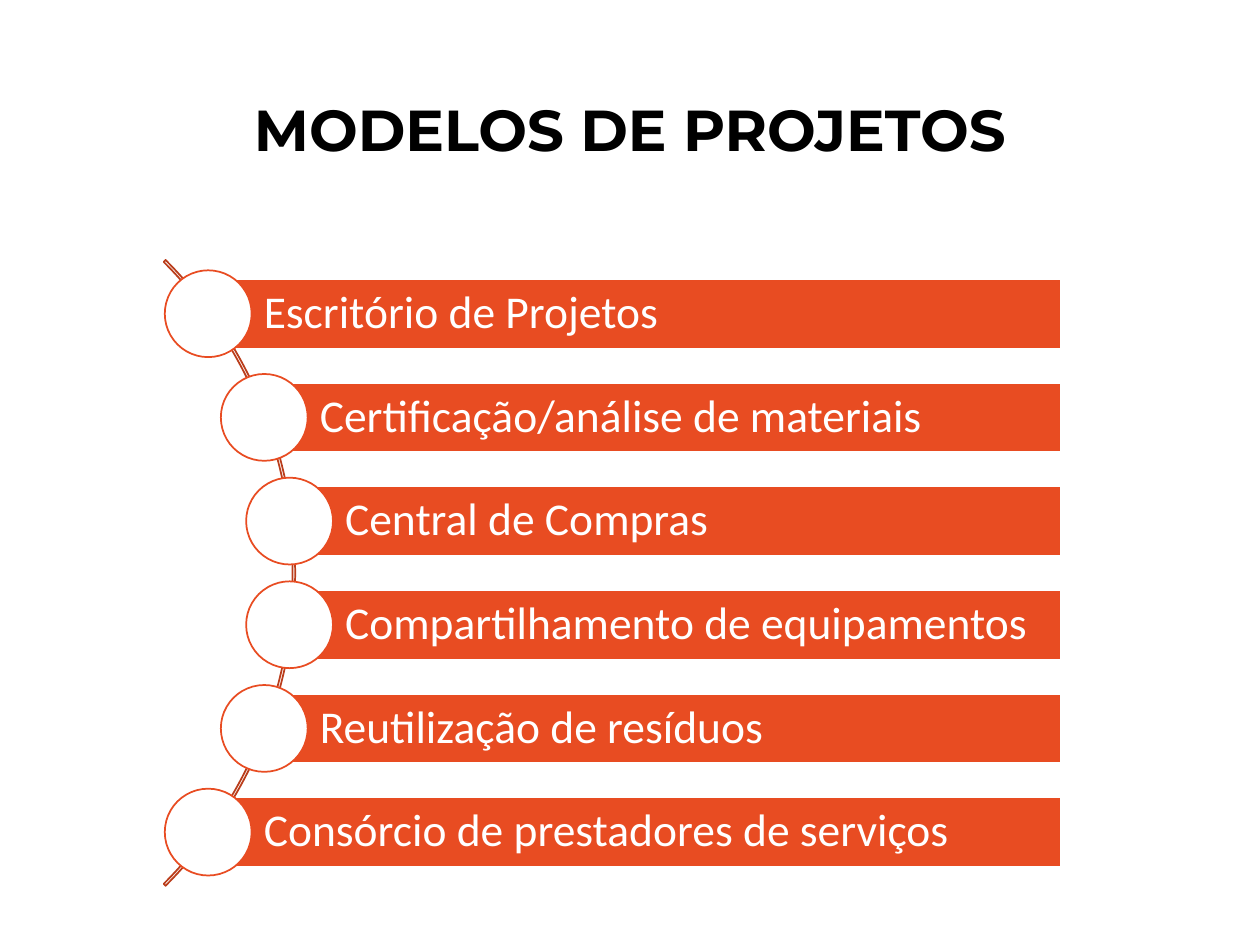
from math import sqrt

from pptx import Presentation
from pptx.dml.color import RGBColor
from pptx.enum.shapes import MSO_SHAPE as Shape
from pptx.enum.text import MSO_ANCHOR as Anchor, PP_ALIGN as Align
from pptx.util import Cm, Pt

COLORS = {"orange": "E84C22", "rust": "BA3D1B", "white": "FFFFFF", "black": "000000"}

PROJECTS = [
    "Escritório de Projetos",
    "Certificação/análise de materiais",
    "Central de Compras",
    "Compartilhamento de equipamentos",
    "Reutilização de resíduos",
    "Consórcio de prestadores de serviços",
]

# Geometry in centimetres: the circles sit along an arc
ARC_X, ARC_Y, ARC_R = -2.97, 11.55, 8.92
TRACK_R = 8.87
PITCH = 2.09
BAR_H, BAR_RIGHT = 1.4, 21.39
DOT = 1.75


def color(name):
    return RGBColor.from_string(COLORS[name])


def write(shape, text, font="Calibri", size=26, fill="white", bold=False,
          align=Align.LEFT, insets=(0.25, 0.13, 0.25, 0.13)):
    """Set the text of a shape in one format; insets are left, top, right, bottom."""
    tf = shape.text_frame
    tf.word_wrap = True
    tf.vertical_anchor = Anchor.MIDDLE
    tf.margin_left, tf.margin_top, tf.margin_right, tf.margin_bottom = map(Cm, insets)
    p = tf.paragraphs[0]
    p.alignment = align
    p.line_spacing = 0.9
    r = p.add_run()
    r.text = text
    r.font.name, r.font.size, r.font.bold = font, Pt(size), bold
    r.font.color.rgb = color(fill)


def add_shape(shapes, kind, x, y, w, h, line, fill=None):
    sp = shapes.add_shape(kind, Cm(x), Cm(y), Cm(w), Cm(h))
    sp.shadow.inherit = False
    if fill:
        sp.fill.solid()
        sp.fill.fore_color.rgb = color(fill)
    else:
        sp.fill.background()
    sp.line.color.rgb = color(line)
    sp.line.width = Pt(1)
    return sp


def add_title(s, text):
    sp = s.shapes.add_textbox(Cm(1.75), Cm(0.84), Cm(21.9), Cm(3.68))
    write(sp, text, font="Montserrat", size=33, fill="black", bold=True,
          align=Align.CENTER)


def add_arc(shapes):
    arc = add_shape(shapes, Shape.BLOCK_ARC, ARC_X - ARC_R, ARC_Y - ARC_R,
                    2 * ARC_R, 2 * ARC_R, line="rust")
    # Start and end angle (315° and 45°), then band thickness
    for i, value in enumerate((189, 27, 0.003)):
        arc.adjustments[i] = value


def add_project(shapes, text, dy):
    """Add a bar and its circle, dy below the middle of the arc."""
    x = ARC_X + sqrt(TRACK_R ** 2 - dy ** 2)
    y = ARC_Y + dy
    bar = add_shape(shapes, Shape.RECTANGLE, x, y - BAR_H / 2, BAR_RIGHT - x, BAR_H,
                    line="white", fill="orange")
    write(bar, text, insets=(1.12, 0.18, 0.18, 0.18))
    add_shape(shapes, Shape.OVAL, x - DOT / 2, y - DOT / 2, DOT, DOT,
              line="orange", fill="white")


def main():
    prs = Presentation()
    prs.slide_width, prs.slide_height = Cm(25.4), Cm(19.05)
    s = prs.slides.add_slide(prs.slide_layouts[6])

    # Title
    add_title(s, "MODELOS DE PROJETOS")

    # Curved list of projects
    shapes = s.shapes.add_group_shape().shapes
    add_arc(shapes)
    middle = (len(PROJECTS) - 1) / 2
    for i, text in enumerate(PROJECTS):
        add_project(shapes, text, (i - middle) * PITCH)

    prs.save("out.pptx")


if __name__ == "__main__":
    main()
